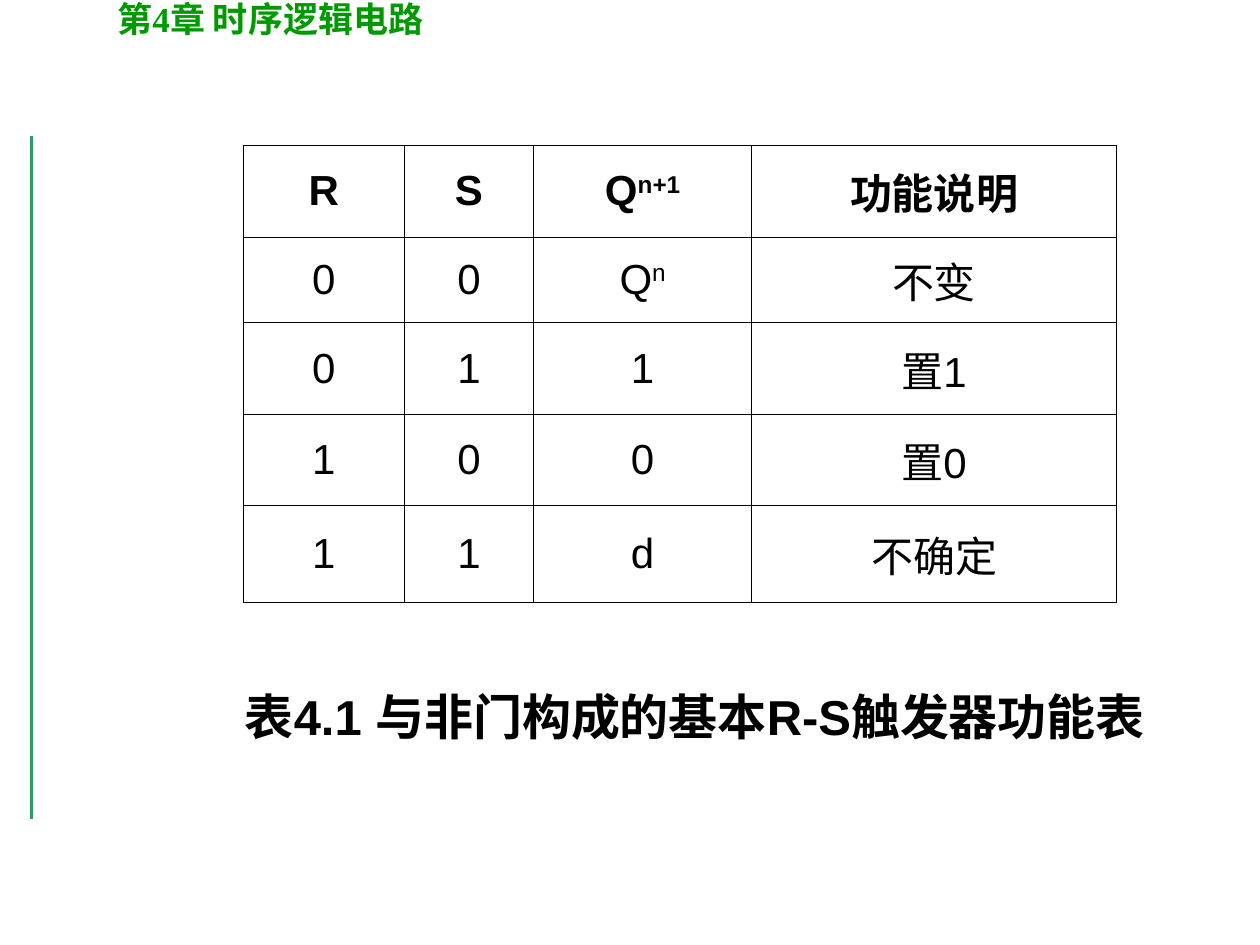
from dataclasses import dataclass

from lxml.etree import SubElement
from pptx import Presentation
from pptx.dml.color import RGBColor as Rgb
from pptx.enum.shapes import MSO_CONNECTOR as Connector
from pptx.enum.text import MSO_ANCHOR as Anchor, MSO_AUTO_SIZE as AutoSize, PP_ALIGN as Align
from pptx.oxml import parse_xml
from pptx.oxml.ns import nsdecls, qn
from pptx.util import Pt


@dataclass(frozen=True)
class Theme:
    ink: str = "000000"
    heading: str = "009900"
    rule: str = "339966"
    sans: str = "Arial"
    serif: str = "Times New Roman"
    chinese: str = "Noto Sans CJK SC"
    heading_size: int = 20
    table_size: int = 24
    caption_size: int = 28
    border: float = 0.45
    rule_width: float = 2.25


THEME = Theme()
COLUMN_WIDTHS = (92, 74, 124.5, 208.5)
ROW_HEIGHTS = (52.5, 49, 52.5, 52, 55)
ROWS = (
    ("R", "S", "Q^n+1", "功能说明"),
    ("0", "0", "Q^n", "不变"),
    ("0", "1", "1", "置1"),
    ("1", "0", "0", "置0"),
    ("1", "1", "d", "不确定"),
)


def style_paragraph(para, size, color=THEME.ink, latin=THEME.sans, bold=True, align=Align.CENTER):
    para.alignment = align
    font = para.font
    font.size = Pt(size)
    font.bold = bold
    font.name = latin
    font.color.rgb = Rgb.from_string(color)
    defaults = para._p.pPr.find(qn("a:defRPr"))
    SubElement(defaults, qn("a:ea")).set("typeface", THEME.chinese)


def add_text(page, text, left, top, width, height, size, **style):
    box = page.shapes.add_textbox(Pt(left), Pt(top), Pt(width), Pt(height))
    frame = box.text_frame
    frame.word_wrap = True
    frame.auto_size = AutoSize.SHAPE_TO_FIT_TEXT
    para = frame.paragraphs[0]
    para.add_run().text = text
    style_paragraph(para, size, **style)


def add_rule(page, x, top, bottom):
    rule = page.shapes.add_connector(Connector.STRAIGHT, Pt(x), Pt(top), Pt(x), Pt(bottom))
    rule.line.color.rgb = Rgb.from_string(THEME.rule)
    rule.line.width = Pt(THEME.rule_width)
    SubElement(rule._element.spPr, qn("a:effectLst"))


def set_borders(cell):
    properties = cell._tc.get_or_add_tcPr()
    for index, side in enumerate(("lnL", "lnR", "lnT", "lnB")):
        border = parse_xml(
            f'<a:{side} {nsdecls("a")} w="{Pt(THEME.border)}"><a:solidFill>'
            f'<a:srgbClr val="{THEME.ink}"/></a:solidFill></a:{side}>'
        )
        properties.insert(index, border)


def fill_cell(cell, text, bold):
    cell.vertical_anchor = Anchor.MIDDLE
    cell.fill.background()
    set_borders(cell)
    para = cell.text_frame.paragraphs[0]
    base, _, superscript = text.partition("^")
    para.add_run().text = base
    if superscript:
        span = para.add_run()
        span.text = superscript
        span._r.get_or_add_rPr().set("baseline", "30000")
    latin = THEME.sans if text.isascii() or not bold else THEME.chinese
    style_paragraph(para, THEME.table_size, latin=latin, bold=bold)


def add_truth_table(page, left, top):
    frame = page.shapes.add_table(
        len(ROWS), len(COLUMN_WIDTHS), Pt(left), Pt(top),
        Pt(sum(COLUMN_WIDTHS)), Pt(sum(ROW_HEIGHTS)),
    )
    table = frame.table
    table.first_row = False
    table.horz_banding = False
    for column, width in zip(table.columns, COLUMN_WIDTHS):
        column.width = Pt(width)
    for index, (row, height, texts) in enumerate(zip(table.rows, ROW_HEIGHTS, ROWS)):
        row.height = Pt(height)
        for cell, text in zip(row.cells, texts):
            fill_cell(cell, text, bold=index == 0)


def main():
    deck = Presentation()
    deck.slide_width, deck.slide_height = Pt(720), Pt(540)
    page = deck.slides.add_slide(deck.slide_layouts[6])
    add_rule(page, 18, 78, 468)
    add_text(page, "第4章 时序逻辑电路", 60, -5, 414, 31.5, THEME.heading_size,
             color=THEME.heading, latin=THEME.serif, align=Align.LEFT)
    add_truth_table(page, 139, 83)
    add_text(page, "表4.1 与非门构成的基本R-S触发器功能表", 122, 389, 550, 75, THEME.caption_size)
    deck.save("out.pptx")


if __name__ == "__main__":
    main()
